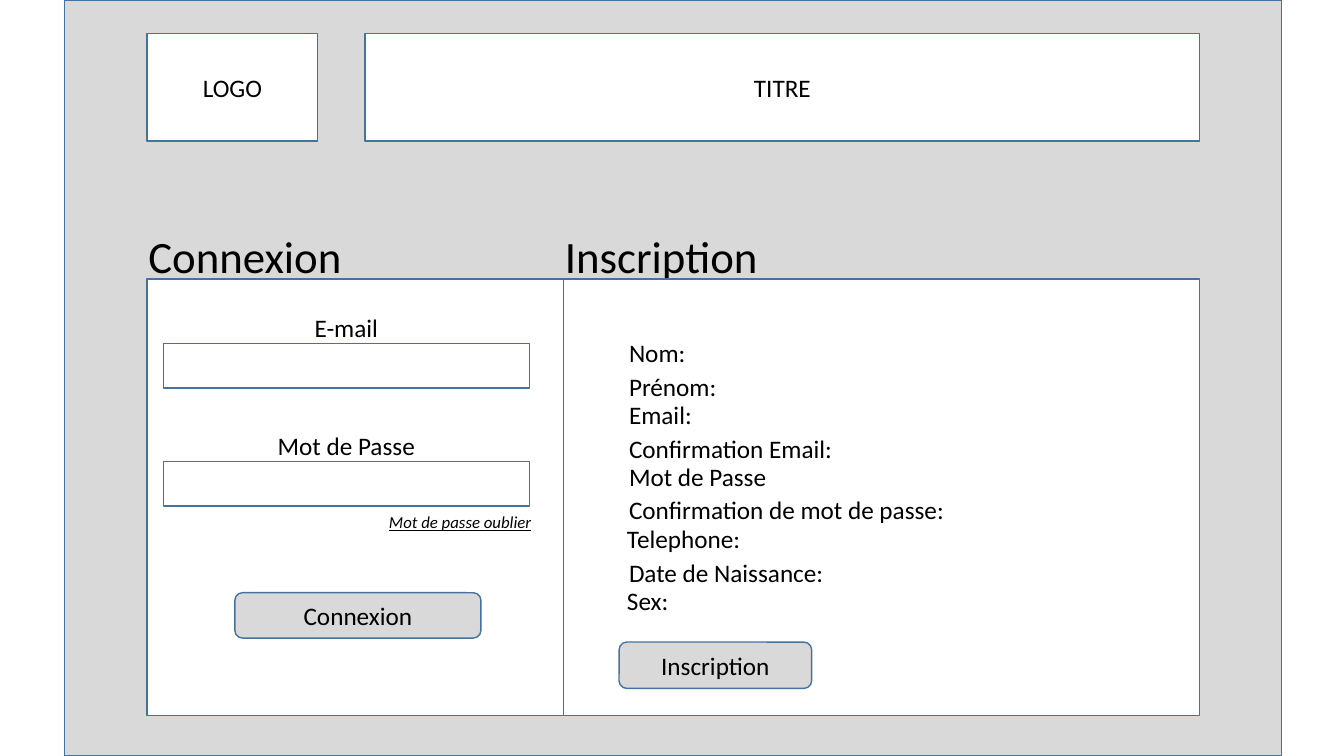
from pptx import Presentation
from pptx import util as u
from pptx.dml.color import RGBColor
from pptx.enum import shapes, text

# Content
LOGO, TITLE = "LOGO", "TITRE"
LOGIN, SIGNUP = "Connexion", "Inscription"
LOGIN_FIELDS = ["E-mail", "Mot de Passe"]
FORGOTTEN = "Mot de passe oublier"
# Sign-up labels with their widths and left shifts
SIGNUP_FIELDS = [
    ("Nom:", 1.59, 0), ("Prénom:", 1.59, 0), ("Email:", 1.59, 0),
    ("Confirmation Email:", 2.25, 0), ("Mot de Passe", 1.59, 0),
    ("Confirmation de mot de passe:", 3.42, 0), ("Telephone:", 1.59, -0.02),
    ("Date de Naissance:", 2.18, 0), ("Sex:", 1.59, -0.02),
]

THEME = {
    "font": "Calibri", "ink": "000000", "paper": "FFFFFF", "grey": "D9D9D9",
    "outline": "43739E", "line": 1, "heading": 32, "body": 18, "small": 12,
}

# Grid: named columns and rows, in inches
WIDTH, HEIGHT = 13.33, 7.5
COL = {"page": 0.64, "left": 1.46, "field": 1.62, "logo_end": 3.15,
       "title": 3.62, "split": 5.59, "signup": 6.14, "right": 11.9}
ROW = {"header": 0.33, "heading": 2.22, "panel": 2.77, "login": 3.05,
       "signup": 3.3, "last_signup": 5.76, "panel_end": 7.1}
HEADER_H, HEADING_W, HEADING_H = 1.07, 3.16, 0.64
FIELD_W, FIELD_H, LABEL_H = 3.63, 0.44, 0.4
FIELD_DROP, FIELD_PITCH = 0.36, 1.17
PAIR_PITCH = (ROW["last_signup"] - ROW["signup"]) / 4
PAIR_STEP = 0.33
PANEL_H = ROW["panel_end"] - ROW["panel"]

deck = Presentation()
deck.slide_width, deck.slide_height = u.Inches(WIDTH), u.Inches(HEIGHT)
slide = deck.slides.add_slide(deck.slide_layouts[5])
CENTER, LEFT = text.PP_ALIGN.CENTER, text.PP_ALIGN.LEFT


def colour(name):
    return RGBColor.from_string(THEME[name])


def write(shape, words, size="body", align=CENTER, anchor=text.MSO_ANCHOR.MIDDLE, **extra):
    frame = shape.text_frame
    frame.word_wrap = True
    frame.auto_size = text.MSO_AUTO_SIZE.NONE
    frame.vertical_anchor = anchor
    para = frame.paragraphs[0]
    para.alignment = align
    span = para.add_run()
    span.text = words
    span.font.color.rgb = colour("ink")
    look = {"name": THEME["font"], "size": u.Pt(THEME[size]), **extra}
    for key, value in look.items():
        setattr(span.font, key, value)


def paint(shape, fill):
    shape.fill.solid()
    shape.fill.fore_color.rgb = colour(fill)
    shape.line.color.rgb = colour("outline")
    shape.line.width = u.Pt(THEME["line"])


def box(left, top, width, height, words="", fill="paper", rounded=False):
    kind = shapes.MSO_SHAPE.ROUNDED_RECTANGLE if rounded else shapes.MSO_SHAPE.RECTANGLE
    shape = slide.shapes.add_shape(kind, *map(u.Inches, (left, top, width, height)))
    shape.shadow.inherit = False
    paint(shape, fill)
    if words:
        write(shape, words)


def label(left, top, width, height, words, **look):
    shape = slide.shapes.add_textbox(*map(u.Inches, (left, top, width, height)))
    write(shape, words, anchor=text.MSO_ANCHOR.TOP, **look)


# Page, login panel and header
box(COL["page"], 0, 12.07, HEIGHT, fill="grey")
box(COL["left"], ROW["panel"], COL["split"] - COL["left"], PANEL_H)
box(COL["left"], ROW["header"], COL["logo_end"] - COL["left"], HEADER_H, LOGO)

title = slide.shapes.title
place = {"left": COL["title"], "top": ROW["header"],
         "width": COL["right"] - COL["title"], "height": HEADER_H}
for side, length in place.items():
    setattr(title, side, u.Inches(length))
paint(title, "paper")
write(title, TITLE)
slide.shapes._spTree.append(title._element)  # bring the title above the page

# Headings, then the sign-up panel that overlaps them
for words, left in ((LOGIN, 0.85), (SIGNUP, 4.98)):
    label(left, ROW["heading"], HEADING_W, HEADING_H, words, size="heading")
box(COL["split"], ROW["panel"], COL["right"] - COL["split"], PANEL_H)

# Login form
for index, words in enumerate(LOGIN_FIELDS):
    top = ROW["login"] + index * FIELD_PITCH
    label(COL["field"], top, FIELD_W, LABEL_H, words)
    box(COL["field"], top + FIELD_DROP, FIELD_W, FIELD_H)
label(3.76, 5.03, 1.66, 0.3, FORGOTTEN, size="small", align=LEFT, italic=True, underline=True)
box(2.33, 5.88, 2.44, 0.45, LOGIN, fill="grey", rounded=True)

# Sign-up form: labels run in pairs
for index, (words, width, shift) in enumerate(SIGNUP_FIELDS):
    pair, second = divmod(index, 2)
    top = ROW["signup"] + pair * PAIR_PITCH + second * PAIR_STEP
    label(COL["signup"] + shift, top, width, LABEL_H, words, align=LEFT)
box(COL["signup"], 6.37, 1.91, 0.46, SIGNUP, fill="grey", rounded=True)

deck.save("out.pptx")
